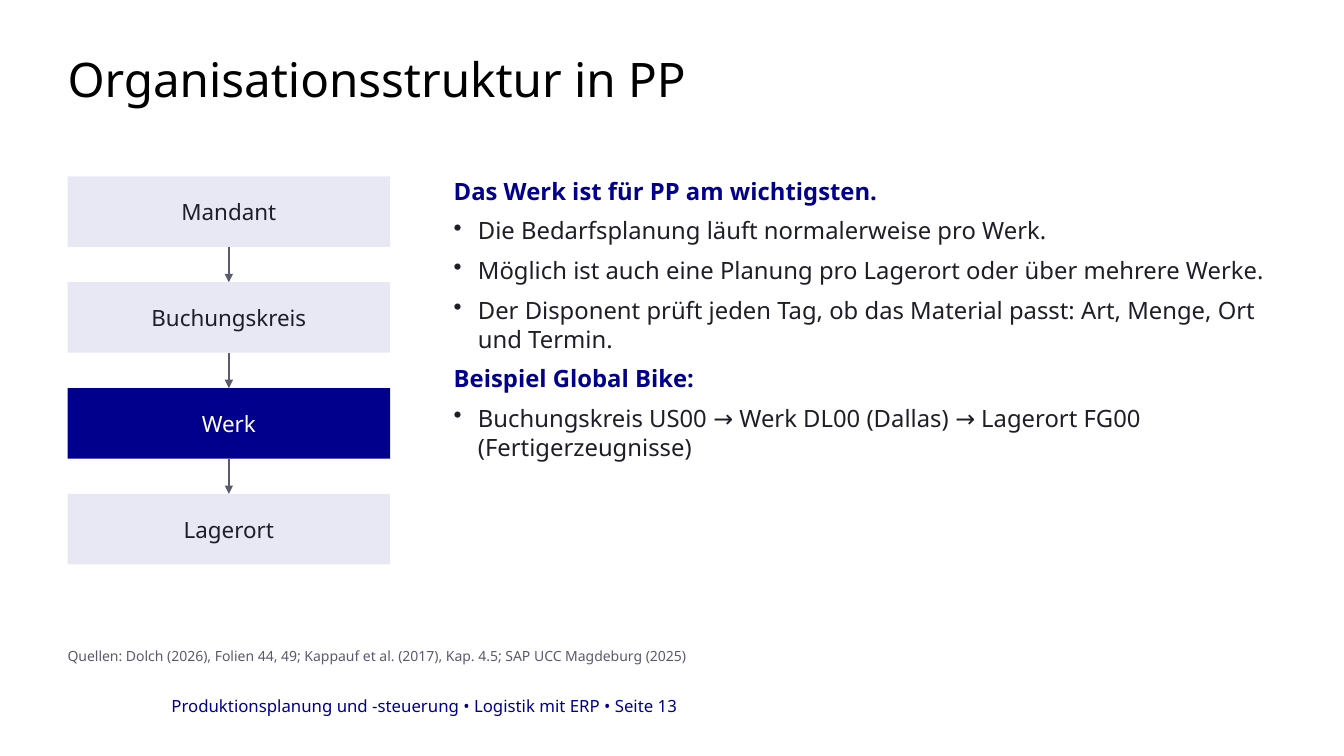
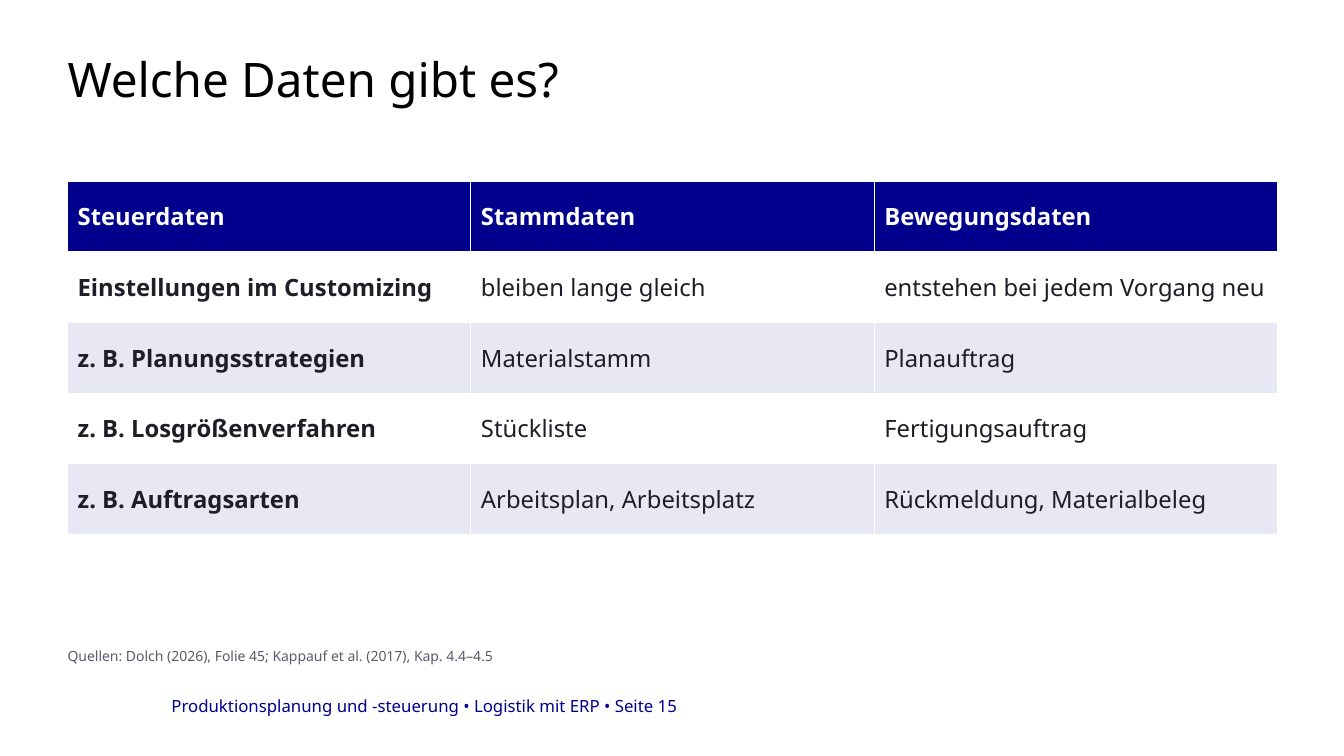
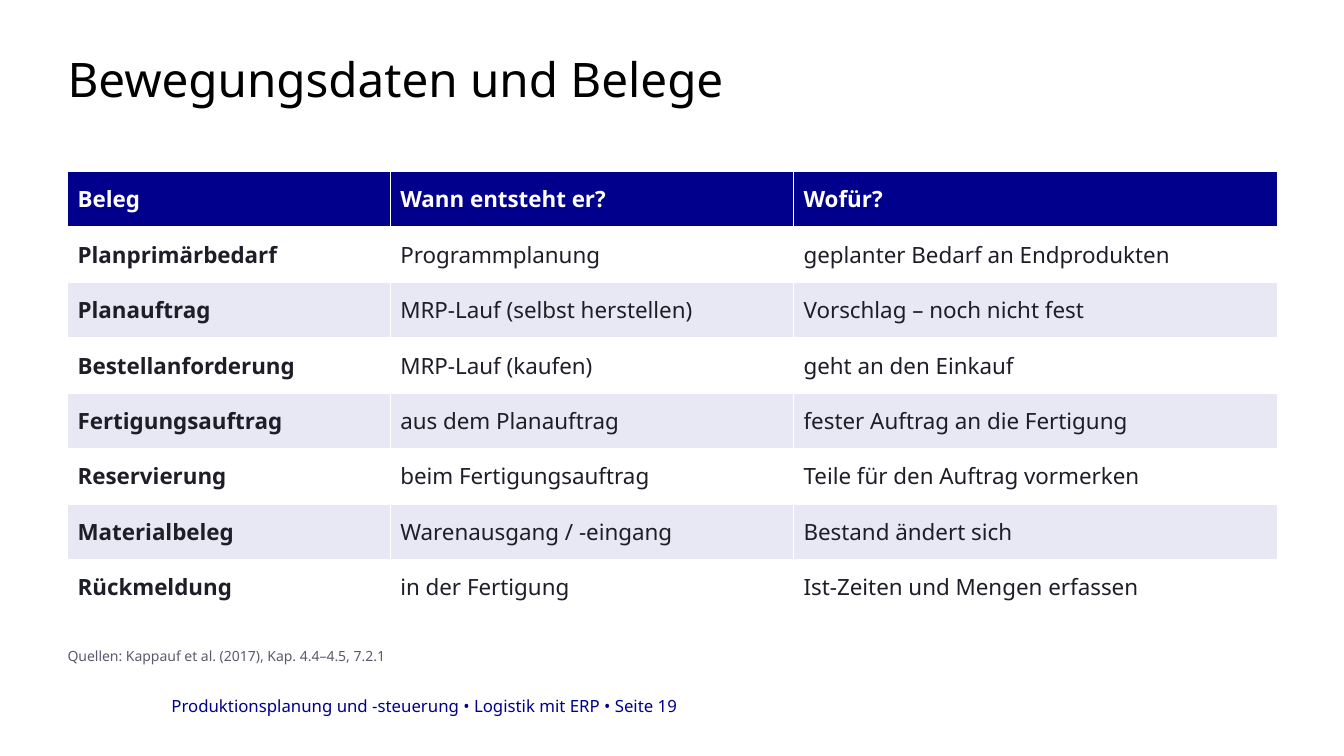
from dataclasses import dataclass
from itertools import pairwise
from typing import Any, NamedTuple

from lxml import etree
from pptx import Presentation
from pptx import util as u
from pptx.dml.color import RGBColor
from pptx.enum import shapes, text
from pptx.oxml import ns

EMU_PER_PX = 9144


@dataclass(frozen=True)
class Theme:
    font: str = "Noto Sans"
    navy: str = "00008C"
    lavender: str = "E8E8F5"
    ink: str = "1E1E28"
    slate: str = "5A5A6E"
    white: str = "FFFFFF"
    black: str = "000000"
    title_size: int = 34
    body_size: int = 17
    compact_size: int = 16
    footer_size: int = 12
    source_size: int = 10


THEME = Theme()


class Box(NamedTuple):
    left: int
    top: int
    width: int
    height: int


class Style(NamedTuple):
    size: int
    color: str
    bold: bool = False
    bullet: bool = False
    layout: dict[str, Any] = {}


class Table(NamedTuple):
    top: int
    widths: list[int]
    row_height: int
    size: int
    rows: list[list[str]]


SLIDE_WIDTH, SLIDE_HEIGHT = 1333, 750
MARGIN, CONTENT_WIDTH = 67, 1200
TITLE_BOX = Box(MARGIN, 44, CONTENT_WIDTH, 71)
SOURCE_BOX = Box(MARGIN, 642, CONTENT_WIDTH, 30)
FOOTER_BOX = Box(170, 690, 791, 20)
LEVEL_BOX = Box(MARGIN, 175, 320, 70)
LEVEL_STEP = 105
EXPLANATION_BOX = Box(450, 175, 817, 440)
BULLET_INDENT = 24

TITLE = Style(THEME.title_size, THEME.black, layout={"line_spacing": 0.9})
SOURCE = Style(THEME.source_size, THEME.slate, layout={"space_after": u.Pt(4)})
FOOTER = Style(THEME.footer_size, THEME.navy)
BODY_LAYOUT = {"space_after": u.Pt(8)}
HEADING = Style(THEME.body_size, THEME.navy, bold=True, layout=BODY_LAYOUT)
POINT = Style(THEME.body_size, THEME.ink, bullet=True, layout=BODY_LAYOUT)
LEVEL_LAYOUT = {"alignment": text.PP_ALIGN.CENTER, "space_after": u.Pt(4)}

LEVELS = ["Mandant", "Buchungskreis", "Werk", "Lagerort"]
KEY_LEVEL = "Werk"
EXPLANATION = [
    ("Das Werk ist für PP am wichtigsten.", HEADING),
    ("Die Bedarfsplanung läuft normalerweise pro Werk.", POINT),
    ("Möglich ist auch eine Planung pro Lagerort oder über mehrere Werke.", POINT),
    ("Der Disponent prüft jeden Tag, ob das Material passt: Art, Menge, Ort und Termin.", POINT),
    ("Beispiel Global Bike:", HEADING),
    ("Buchungskreis US00 → Werk DL00 (Dallas) → Lagerort FG00 (Fertigerzeugnisse)", POINT),
]
DATA_KINDS = Table(180, [400, 400, 400], 70, THEME.body_size, [
    ["Steuerdaten", "Stammdaten", "Bewegungsdaten"],
    ["Einstellungen im Customizing", "bleiben lange gleich", "entstehen bei jedem Vorgang neu"],
    ["z. B. Planungsstrategien", "Materialstamm", "Planauftrag"],
    ["z. B. Losgrößenverfahren", "Stückliste", "Fertigungsauftrag"],
    ["z. B. Auftragsarten", "Arbeitsplan, Arbeitsplatz", "Rückmeldung, Materialbeleg"],
])
DOCUMENTS = Table(170, [320, 400, 480], 55, THEME.compact_size, [
    ["Beleg", "Wann entsteht er?", "Wofür?"],
    ["Planprimärbedarf", "Programmplanung", "geplanter Bedarf an Endprodukten"],
    ["Planauftrag", "MRP-Lauf (selbst herstellen)", "Vorschlag – noch nicht fest"],
    ["Bestellanforderung", "MRP-Lauf (kaufen)", "geht an den Einkauf"],
    ["Fertigungsauftrag", "aus dem Planauftrag", "fester Auftrag an die Fertigung"],
    ["Reservierung", "beim Fertigungsauftrag", "Teile für den Auftrag vormerken"],
    ["Materialbeleg", "Warenausgang / -eingang", "Bestand ändert sich"],
    ["Rückmeldung", "in der Fertigung", "Ist-Zeiten und Mengen erfassen"],
])


def px(length: int) -> u.Emu:
    return u.Emu(length * EMU_PER_PX)


def emu(box: Box) -> list[u.Emu]:
    return [px(length) for length in box]


def rgb(color: str) -> RGBColor:
    return RGBColor.from_string(color)


def set_all(target: Any, values: dict[str, Any]) -> None:
    for name, value in values.items():
        setattr(target, name, value)


def add_xml(parent: Any, tag: str, **attributes: str) -> Any:
    return etree.SubElement(parent, ns.qn(tag), attributes)


def set_margins(frame: Any, left: int, top: int, right: int, bottom: int) -> None:
    set_all(frame, {"margin_left": px(left), "margin_top": px(top),
                    "margin_right": px(right), "margin_bottom": px(bottom)})


def write_paragraph(paragraph: Any, wording: str, style: Style) -> None:
    if style.bullet:
        properties = paragraph._p.get_or_add_pPr()
        properties.set("marL", str(px(BULLET_INDENT)))
        properties.set("indent", str(-px(BULLET_INDENT)))
        add_xml(properties, "a:buChar", char="•")
    set_all(paragraph, style.layout)
    run = paragraph.add_run()
    run.text = wording
    set_all(run.font, {"name": THEME.font, "size": u.Pt(style.size), "bold": style.bold})
    run.font.color.rgb = rgb(style.color)


def add_text(slide: Any, box: Box, lines: list[tuple[str, Style]], top_margin: int = 0) -> None:
    frame = slide.shapes.add_textbox(*emu(box)).text_frame
    frame.word_wrap = True
    set_margins(frame, 0, top_margin, 0, 0)
    for index, (wording, style) in enumerate(lines):
        paragraph = frame.add_paragraph() if index else frame.paragraphs[0]
        write_paragraph(paragraph, wording, style)


def add_content_slide(deck: Any, title: str, source: str, page: int) -> Any:
    """Add a slide with the shared title, source line and footer."""
    slide = deck.slides.add_slide(deck.slide_layouts[6])
    footer = f"Produktionsplanung und -steuerung • Logistik mit ERP • Seite {page}"
    add_text(slide, FOOTER_BOX, [(footer, FOOTER)])
    add_text(slide, TITLE_BOX, [(title, TITLE)], top_margin=12)
    add_text(slide, SOURCE_BOX, [(f"Quellen: {source}", SOURCE)])
    return slide


def add_level(slide: Any, name: str, position: int) -> Any:
    box = LEVEL_BOX._replace(top=LEVEL_BOX.top + position * LEVEL_STEP)
    level = slide.shapes.add_shape(shapes.MSO_SHAPE.RECTANGLE, *emu(box))
    level.shadow.inherit = False
    is_key = name == KEY_LEVEL
    level.fill.solid()
    level.fill.fore_color.rgb = rgb(THEME.navy if is_key else THEME.lavender)
    level.line.fill.background()
    frame = level.text_frame
    set_all(frame, {"word_wrap": True, "vertical_anchor": text.MSO_ANCHOR.MIDDLE})
    set_margins(frame, 10, 6, 10, 6)
    color = THEME.white if is_key else THEME.ink
    write_paragraph(frame.paragraphs[0], name,
                    Style(THEME.compact_size, color, layout=LEVEL_LAYOUT))
    return level


def add_arrow(slide: Any, upper: Any, lower: Any) -> None:
    arrow = slide.shapes.add_connector(shapes.MSO_CONNECTOR.STRAIGHT, 0, 0, 0, 0)
    arrow.begin_connect(upper, 2)
    arrow.end_connect(lower, 0)
    arrow.line.width = u.Pt(1.5)
    arrow.line.color.rgb = rgb(THEME.slate)
    add_xml(arrow.line._get_or_add_ln(), "a:tailEnd", type="triangle")
    add_xml(arrow._element.spPr, "a:effectLst")


def add_hierarchy(slide: Any) -> None:
    levels = [add_level(slide, name, position) for position, name in enumerate(LEVELS)]
    for upper, lower in pairwise(levels):
        add_arrow(slide, upper, lower)


def add_borders(cell: Any) -> None:
    """Draw all four cell edges; call before filling, as the fill must follow them."""
    properties = cell._tc.get_or_add_tcPr()
    for edge in ("a:lnL", "a:lnR", "a:lnT", "a:lnB"):
        line = add_xml(properties, edge, w=str(u.Pt(1)))
        add_xml(add_xml(line, "a:solidFill"), "a:srgbClr", val=THEME.white)


def add_data_table(slide: Any, content: Table) -> None:
    rows = content.rows
    box = Box(MARGIN, content.top, sum(content.widths), content.row_height * len(rows))
    table = slide.shapes.add_table(len(rows), len(content.widths), *emu(box)).table
    for column, width in zip(table.columns, content.widths):
        column.width = px(width)
    for row_index, row in enumerate(rows):
        table.rows[row_index].height = px(content.row_height)
        is_header = row_index == 0
        band = THEME.white if row_index % 2 else THEME.lavender
        for column_index, wording in enumerate(row):
            cell = table.cell(row_index, column_index)
            add_borders(cell)
            cell.fill.solid()
            cell.fill.fore_color.rgb = rgb(THEME.navy if is_header else band)
            cell.vertical_anchor = text.MSO_ANCHOR.MIDDLE
            style = Style(content.size, THEME.white if is_header else THEME.ink,
                          bold=is_header or column_index == 0)
            write_paragraph(cell.text_frame.paragraphs[0], wording, style)


def main() -> None:
    deck = Presentation()
    set_all(deck, {"slide_width": px(SLIDE_WIDTH), "slide_height": px(SLIDE_HEIGHT)})

    structure = add_content_slide(
        deck, "Organisationsstruktur in PP",
        "Dolch (2026), Folien 44, 49; Kappauf et al. (2017), Kap. 4.5; SAP UCC Magdeburg (2025)", 13)
    add_hierarchy(structure)
    add_text(structure, EXPLANATION_BOX, EXPLANATION)

    data_kinds = add_content_slide(
        deck, "Welche Daten gibt es?",
        "Dolch (2026), Folie 45; Kappauf et al. (2017), Kap. 4.4–4.5", 15)
    add_data_table(data_kinds, DATA_KINDS)

    documents = add_content_slide(
        deck, "Bewegungsdaten und Belege",
        "Kappauf et al. (2017), Kap. 4.4–4.5, 7.2.1", 19)
    add_data_table(documents, DOCUMENTS)

    deck.save("out.pptx")


if __name__ == "__main__":
    main()
